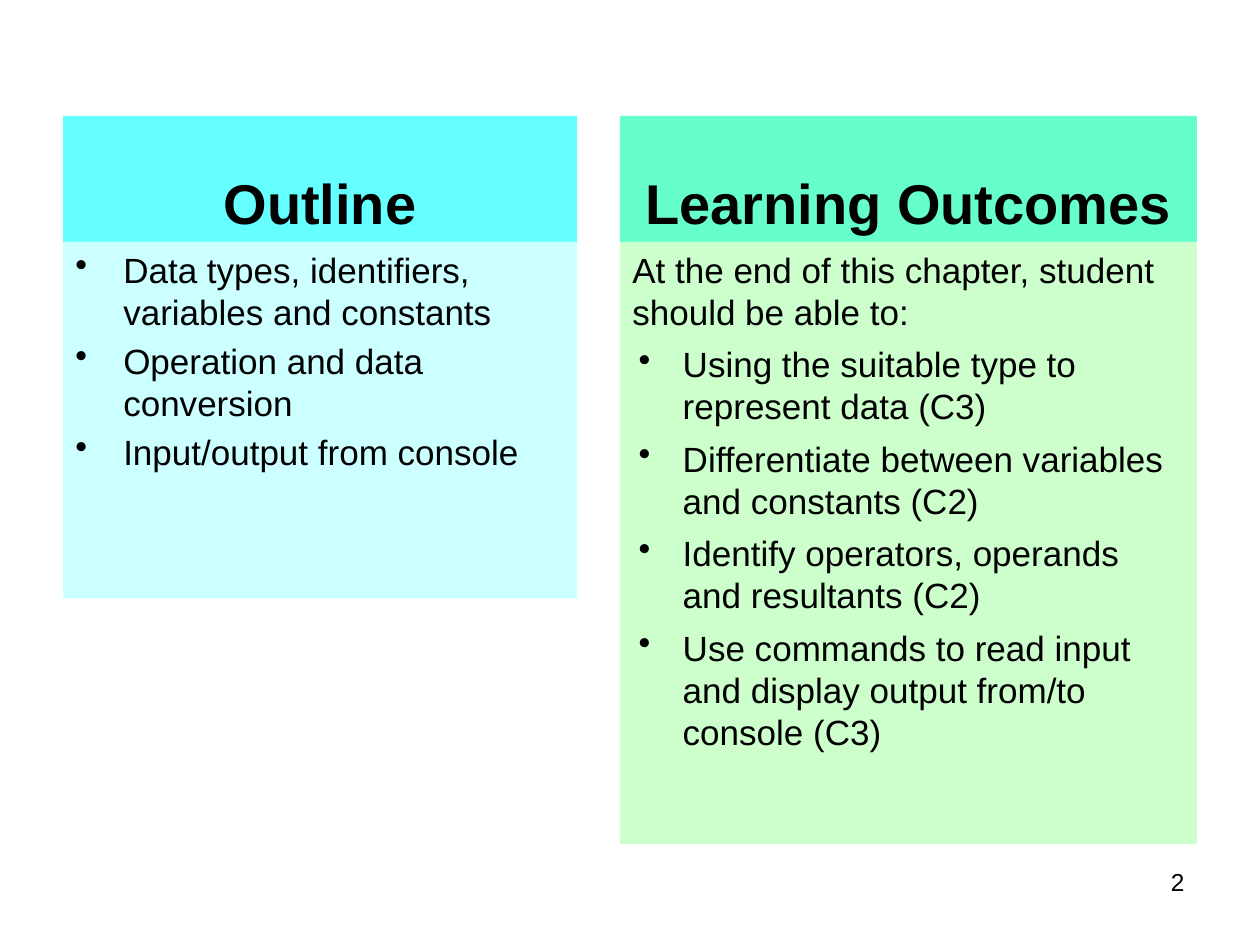
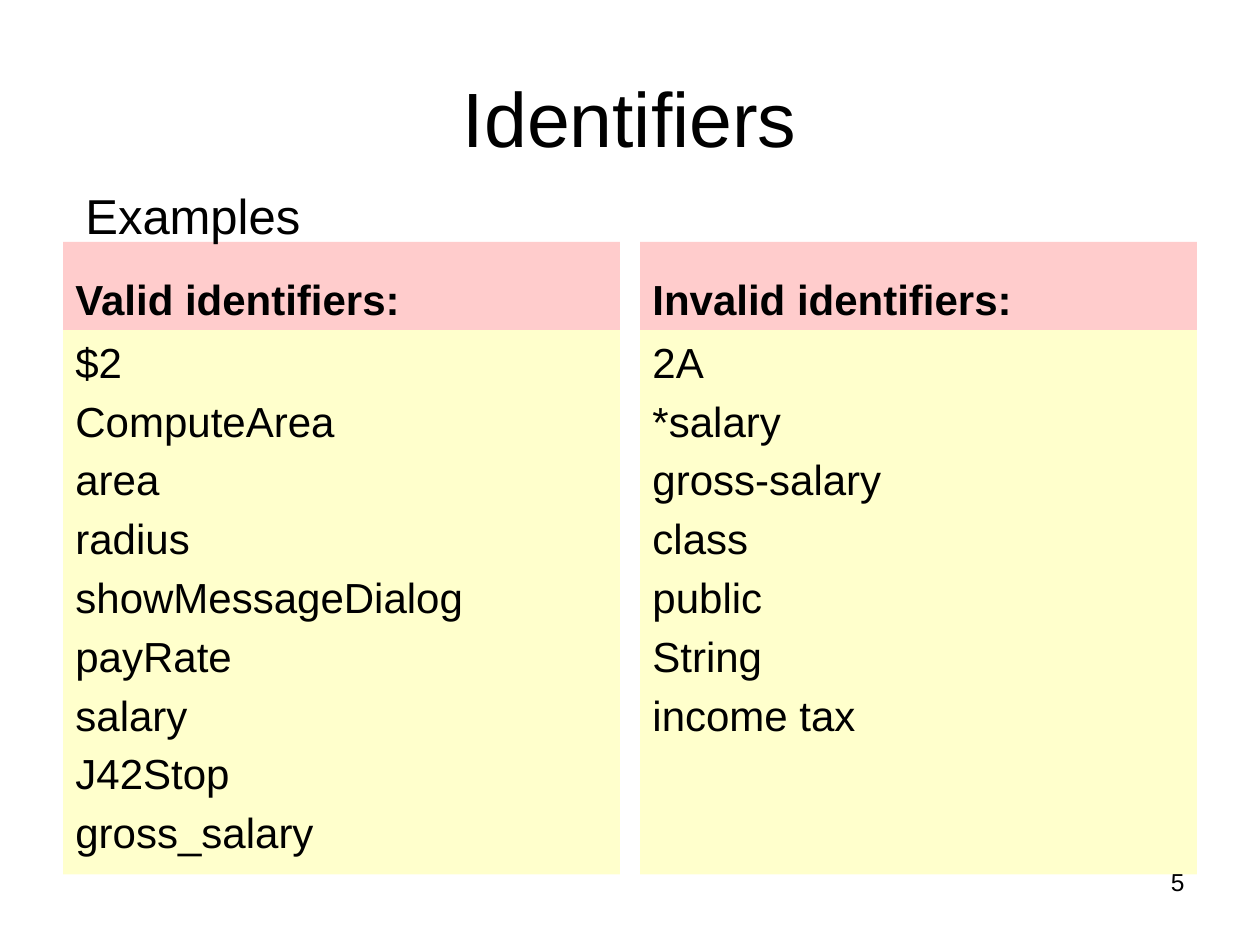
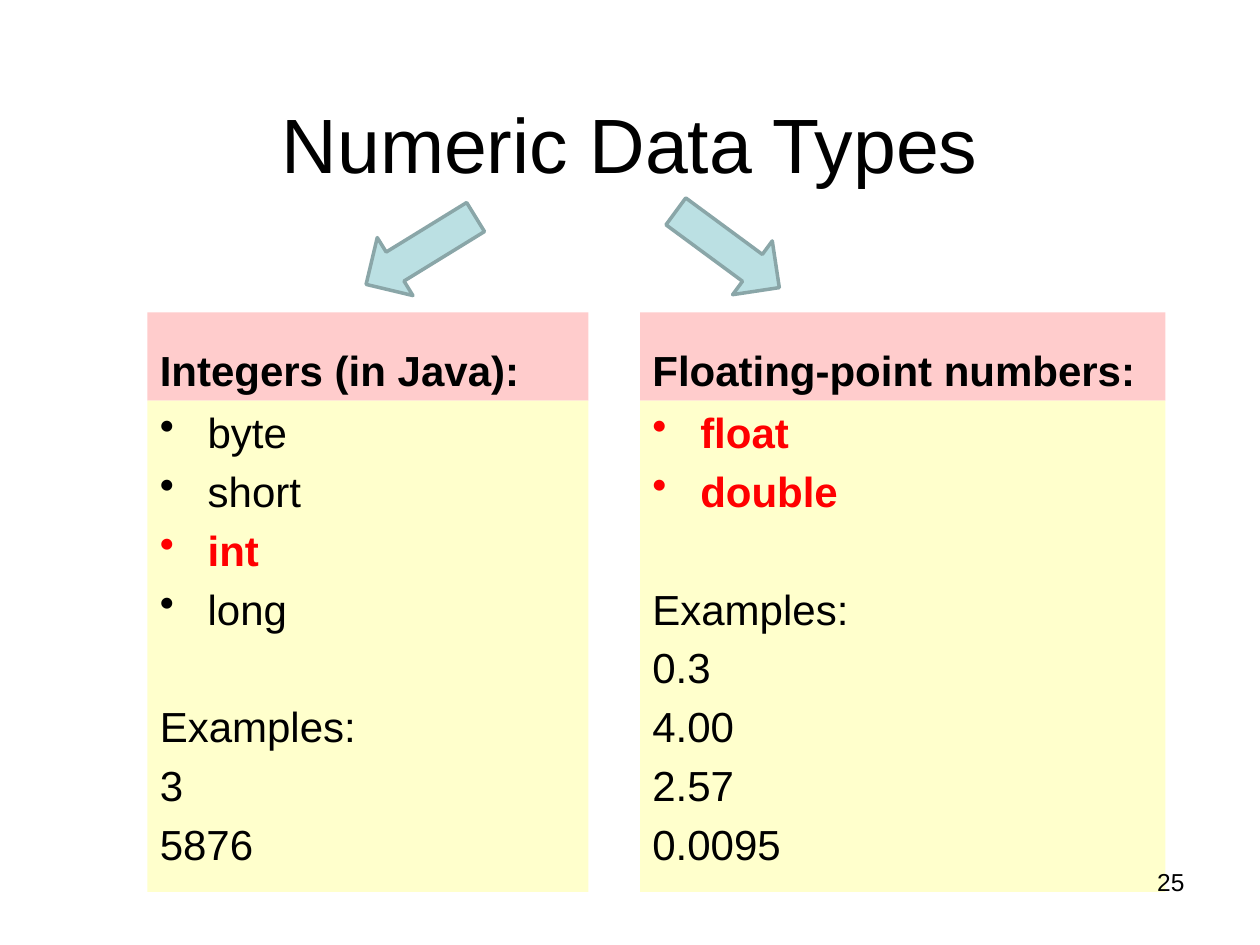
import lxml.etree
import pptx
import pptx.dml.color
import pptx.enum.shapes
import pptx.enum.text
import pptx.oxml.ns
import pptx.util

PX = 9144
RGB = pptx.dml.color.RGBColor
ALIGN = pptx.enum.text.PP_ALIGN
ANCHOR = pptx.enum.text.MSO_ANCHOR
SHAPE = pptx.enum.shapes.MSO_SHAPE

BLACK = RGB(0x00, 0x00, 0x00)
RED = RGB(0xFF, 0x00, 0x00)
CYAN = RGB(0x66, 0xFF, 0xFF)
PALE_CYAN = RGB(0xCC, 0xFF, 0xFF)
MINT = RGB(0x66, 0xFF, 0xCC)
PALE_GREEN = RGB(0xCC, 0xFF, 0xCC)
PINK = RGB(0xFF, 0xCC, 0xCC)
CREAM = RGB(0xFF, 0xFF, 0xCC)
ARROW_FILL = RGB(0xBB, 0xE0, 0xE3)
ARROW_LINE = RGB(0x8A, 0xA6, 0xA8)

TITLE_ONLY, BLANK = 5, 6
LINE_HEIGHT = 1.2
HANGING = (38, 38)
INNER_HANGING = (40, 35)


def write(frame, lines, size=24, bold=False, align=ALIGN.LEFT, anchor=ANCHOR.TOP,
          wrap=True, gap=None, bulleted=(), hanging=HANGING, key_words=()):
    frame.auto_size = pptx.enum.text.MSO_AUTO_SIZE.NONE
    frame.word_wrap = wrap
    frame.vertical_anchor = anchor
    gap = size * 0.2 if gap is None else gap
    for index, line in enumerate(lines):
        paragraph = frame.paragraphs[0] if index == 0 else frame.add_paragraph()
        paragraph.text = line
        if line in bulleted:
            margin, indent = hanging
            properties = paragraph._p.get_or_add_pPr()
            properties.set("marL", str(margin * PX))
            properties.set("indent", str(-indent * PX))
            bullet = lxml.etree.SubElement(properties, pptx.oxml.ns.qn("a:buChar"))
            bullet.set("char", "•")
        paragraph.alignment = align
        paragraph.line_spacing = pptx.util.Pt(size * LINE_HEIGHT)
        if index:
            skipped = size * LINE_HEIGHT + gap if line == "Examples:" else 0
            paragraph.space_before = pptx.util.Pt(gap + skipped)
        font = paragraph.runs[0].font
        font.name = "Arial"
        font.size = pptx.util.Pt(size)
        font.bold = bold or line in key_words
        font.color.rgb = RED if line in key_words else BLACK


def add_panel(slide, left, top, width, height, fill):
    panel = slide.shapes.add_shape(
        SHAPE.RECTANGLE, left * PX, top * PX, width * PX, height * PX)
    panel.shadow.inherit = False
    panel.fill.solid()
    panel.fill.fore_color.rgb = fill
    panel.line.fill.background()
    return panel.text_frame


deck = pptx.Presentation()
deck.slide_width = 1000 * PX
deck.slide_height = 750 * PX

overview = deck.slides.add_slide(deck.slide_layouts[BLANK])
identifiers = deck.slides.add_slide(deck.slide_layouts[TITLE_ONLY])
numeric_types = deck.slides.add_slide(deck.slide_layouts[TITLE_ONLY])

for slide, title, anchor in [
    (identifiers, "Identifiers", ANCHOR.MIDDLE),
    (numeric_types, "Numeric Data Types", ANCHOR.BOTTOM),
]:
    heading = slide.shapes.title
    heading.left, heading.top = 50 * PX, 30 * PX
    heading.width, heading.height = 900 * PX, 125 * PX
    write(heading.text_frame, [title], size=44, align=ALIGN.CENTER, anchor=anchor)

topics = [
    "Data types, identifiers, variables and constants",
    "Operation and data conversion",
    "Input/output from console",
]
outcomes = [
    "At the end of this chapter, student should be able to:",
    "Using the suitable type to represent data (C3)",
    "Differentiate between variables and constants (C2)",
    "Identify operators, operands and resultants (C2)",
    "Use commands to read input and display output from/to console (C3)",
]
for heading, left, width, height, head_fill, body_fill, lines, style in [
    ("Outline", 50, 408, 283, CYAN, PALE_CYAN, topics, dict(bulleted=topics)),
    ("Learning Outcomes", 492, 458, 478, MINT, PALE_GREEN, outcomes,
     dict(bulleted=outcomes[1:], hanging=INNER_HANGING, gap=6)),
]:
    head = add_panel(overview, left, 92, width, 100, head_fill)
    write(head, [heading], size=32, bold=True, align=ALIGN.CENTER, anchor=ANCHOR.BOTTOM)
    body = add_panel(overview, left, 192, width, height, body_fill)
    write(body, lines, size=20, **style)

valid = ["$2", "ComputeArea", "area", "radius", "showMessageDialog",
         "payRate", "salary", "J42Stop", "gross_salary"]
invalid = ["2A", "*salary", "gross-salary", "class", "public", "String", "income tax"]
integers = ["byte", "short", "int", "long", "Examples:", "3", "5876"]
floats = ["float", "double", "Examples:", "0.3", "4.00", "2.57", "0.0095"]
type_style = dict(bulleted=integers[:4] + floats[:2],
                  key_words=["int", "float", "double"])

for slide, heading, left, top, width, height, lines, style in [
    (identifiers, "Valid identifiers:", 50, 192, 442, 432, valid, {}),
    (identifiers, "Invalid identifiers:", 508, 192, 442, 432, invalid, {}),
    (numeric_types, "Integers (in Java):", 117, 248, 350, 390, integers, type_style),
    (numeric_types, "Floating-point numbers:", 508, 248, 417, 390, floats, type_style),
]:
    head = add_panel(slide, left, top, width, 70, PINK)
    write(head, [heading], bold=True, anchor=ANCHOR.BOTTOM)
    body = add_panel(slide, left, top + 70, width, height, CREAM)
    write(body, lines, **style)

examples = identifiers.shapes.add_textbox(58 * PX, 142 * PX, 193 * PX, 57 * PX)
write(examples.text_frame, ["Examples"], size=28, wrap=False)

for slide, number in [(overview, "2"), (identifiers, "5"), (numeric_types, "25")]:
    page = slide.shapes.add_textbox(717 * PX, 683 * PX, 233 * PX, 52 * PX)
    write(page.text_frame, [number], size=14, align=ALIGN.RIGHT)

for left, top, width, rotation in [(307, 148, 54, 58.4), (551, 147, 53, 306.4)]:
    arrow = numeric_types.shapes.add_shape(
        SHAPE.DOWN_ARROW, left * PX, top * PX, width * PX, 102 * PX)
    arrow.rotation = rotation
    arrow.shadow.inherit = False
    arrow.fill.solid()
    arrow.fill.fore_color.rgb = ARROW_FILL
    arrow.line.color.rgb = ARROW_LINE
    arrow.line.width = pptx.util.Pt(2)

deck.save("out.pptx")
